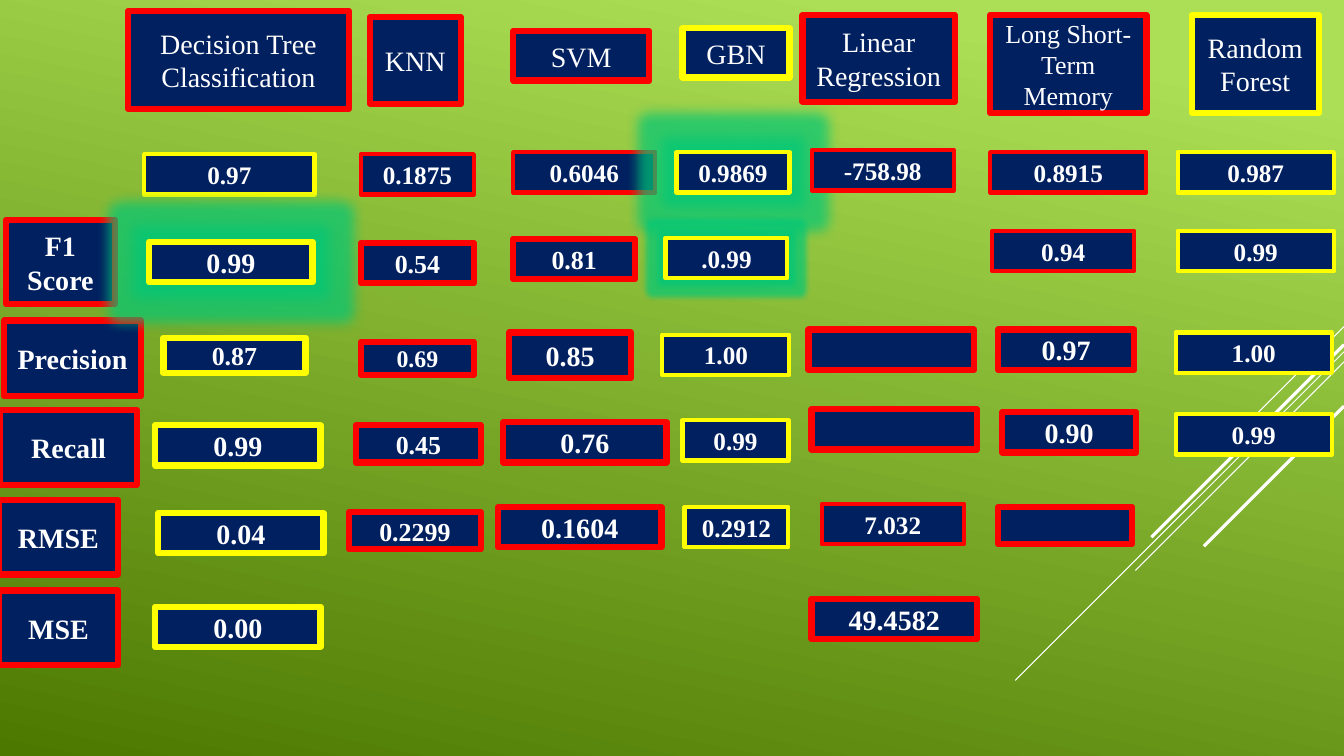
from lxml.etree import SubElement
from pptx import Presentation
from pptx.dml.color import RGBColor
from pptx.enum.shapes import MSO_CONNECTOR, MSO_SHAPE
from pptx.enum.text import MSO_ANCHOR, PP_ALIGN
from pptx.oxml.ns import qn
from pptx.util import Pt

PX = 9144  # EMU per px, 100 px to the inch
FONT = "Times New Roman"
NAVY = RGBColor(0x00, 0x20, 0x60)
RED = RGBColor(0xFF, 0x00, 0x00)
YELLOW = RGBColor(0xFF, 0xFF, 0x00)
WHITE = RGBColor(0xFF, 0xFF, 0xFF)
LIGHT_GREEN = RGBColor(0xAC, 0xDF, 0x55)
DARK_GREEN = RGBColor(0x4C, 0x78, 0x00)
GLOW_GREEN = RGBColor(0x00, 0xC8, 0x78)

# Background lines: start x, start y, horizontal run to the lower left, width in points
DIAGONALS = [
    (1333, 324, 100, 0.75),
    (1333, 349, 326, 0.75),
    (1333, 359, 207, 0.75),
    (1333, 342, 191, 2.25),
    (1333, 403, 139, 2.25),
]

# Boxes: text, left, top, width, height, font size, optional glow radius in points
METRICS = [
    ("F1 Score", 6, 218, 108, 84, 20),
    ("Precision", 4, 318, 136, 75, 20),
    ("Recall", 0, 407, 136, 74, 20),
    ("RMSE", -1, 496, 118, 74, 20),
    ("MSE", -1, 586, 118, 74, 20),
]

# Models: heading box, heading border, value border, value boxes
MODELS = [
    (("Decision Tree Classification", 127, 11, 219, 97, 20), RED, YELLOW, [
        ("0.97", 143, 153, 169, 40, 18),
        ("0.99", 148, 240, 162, 40, 20, 18),
        ("0.87", 162, 335, 141, 35, 18.5),
        ("0.99", 154, 422, 164, 40, 20),
        ("0.04", 157, 509, 164, 40, 20),
        ("0.00", 154, 602, 164, 40, 20),
    ]),
    (("KNN", 367, 17, 90, 86, 20), RED, RED, [
        ("0.1875", 358, 153, 112, 40, 18),
        ("0.54", 358, 241, 112, 40, 18.5),
        ("0.69", 358, 339, 112, 33, 17),
        ("0.45", 353, 422, 124, 37, 18.5),
        ("0.2299", 346, 508, 131, 37, 18.5),
    ]),
    (("SVM", 509, 31, 135, 49, 20), RED, RED, [
        ("0.6046", 509, 151, 141, 40, 18),
        ("0.81", 509, 237, 121, 40, 18.5),
        ("0.85", 505, 330, 121, 45, 20),
        ("0.76", 499, 419, 162, 40, 20),
        ("0.1604", 494, 503, 162, 40, 20),
    ]),
    (("GBN", 677, 28, 106, 49, 20), YELLOW, YELLOW, [
        ("0.9869", 671, 151, 112, 40, 18, 18),
        (".0.99", 660, 236, 121, 40, 18, 8),
        ("1.00", 657, 332, 126, 40, 18),
        ("0.99", 677, 417, 105, 40, 18),
        ("0.2912", 679, 503, 103, 40, 18),
    ]),
    (("Linear Regression", 796, 15, 151, 86, 20), RED, RED, [
        ("-758.98", 805, 149, 141, 40, 18),
        ("", 802, 327, 164, 40, 20),
        ("", 805, 406, 164, 40, 20),
        ("7.032", 815, 500, 141, 40, 18),
        ("49.4582", 805, 594, 164, 40, 20),
    ]),
    (("Long Short-Term Memory", 982, 15, 155, 97, 18.5), RED, RED, [
        ("0.8915", 982, 151, 155, 40, 18),
        ("0.94", 984, 229, 141, 40, 18),
        ("0.97", 990, 327, 135, 40, 20),
        ("0.90", 994, 409, 133, 40, 20),
        ("", 990, 503, 133, 37, 20),
    ]),
    (("Random Forest", 1182, 15, 126, 97, 20), YELLOW, YELLOW, [
        ("0.987", 1168, 151, 155, 40, 18),
        ("0.99", 1168, 229, 155, 40, 18),
        ("1.00", 1166, 330, 155, 40, 18),
        ("0.99", 1166, 411, 155, 40, 18),
    ]),
]


def add_diagonal(slide, x, y, run, width):
    ends = [value * PX for value in (x, y, x - run, y + run)]
    connector = slide.shapes.add_connector(MSO_CONNECTOR.STRAIGHT, *ends)
    connector.line.color.rgb = WHITE
    connector.line.width = Pt(width)
    SubElement(connector._element.spPr, qn("a:effectLst"))


def add_glow(shape, radius):
    effects = shape._element.spPr.find(qn("a:effectLst"))
    glow = SubElement(effects, qn("a:glow"), rad=str(Pt(radius)))
    color = SubElement(glow, qn("a:srgbClr"), val=str(GLOW_GREEN))
    SubElement(color, qn("a:alpha"), val="70000")


def add_box(slide, border, bold, text, left, top, width, height, size, glow=0):
    bounds = [value * PX for value in (left, top, width, height)]
    shape = slide.shapes.add_shape(MSO_SHAPE.RECTANGLE, *bounds)
    shape.shadow.inherit = False
    shape.fill.solid()
    shape.fill.fore_color.rgb = NAVY
    shape.line.color.rgb = border
    shape.line.width = Pt(3 if size == 18 else 4.5)
    if glow:
        add_glow(shape, glow)
    if text:
        text_frame = shape.text_frame
        text_frame.text = text
        text_frame.word_wrap = True
        text_frame.vertical_anchor = MSO_ANCHOR.MIDDLE
        paragraph = text_frame.paragraphs[0]
        paragraph.alignment = PP_ALIGN.CENTER
        font = paragraph.runs[0].font
        font.name = FONT
        font.size = Pt(size)
        font.bold = bold
        font.color.rgb = WHITE


def main():
    presentation = Presentation()
    presentation.slide_width = 1333 * PX
    presentation.slide_height = 750 * PX
    slide = presentation.slides.add_slide(presentation.slide_layouts[6])

    # Background gradient and diagonal lines
    fill = slide.background.fill
    fill.gradient()
    fill.gradient_angle = 258
    stops = [(0.1, LIGHT_GREEN), (1, DARK_GREEN)]
    for stop, (position, color) in zip(fill.gradient_stops, stops):
        stop.position = position
        stop.color.rgb = color
    for diagonal in DIAGONALS:
        add_diagonal(slide, *diagonal)

    # Metric names down the left side
    for metric in METRICS:
        add_box(slide, RED, True, *metric)

    # One column per model
    for heading, heading_border, value_border, values in MODELS:
        add_box(slide, heading_border, False, *heading)
        for value in values:
            add_box(slide, value_border, True, *value)

    presentation.save("out.pptx")


if __name__ == "__main__":
    main()
